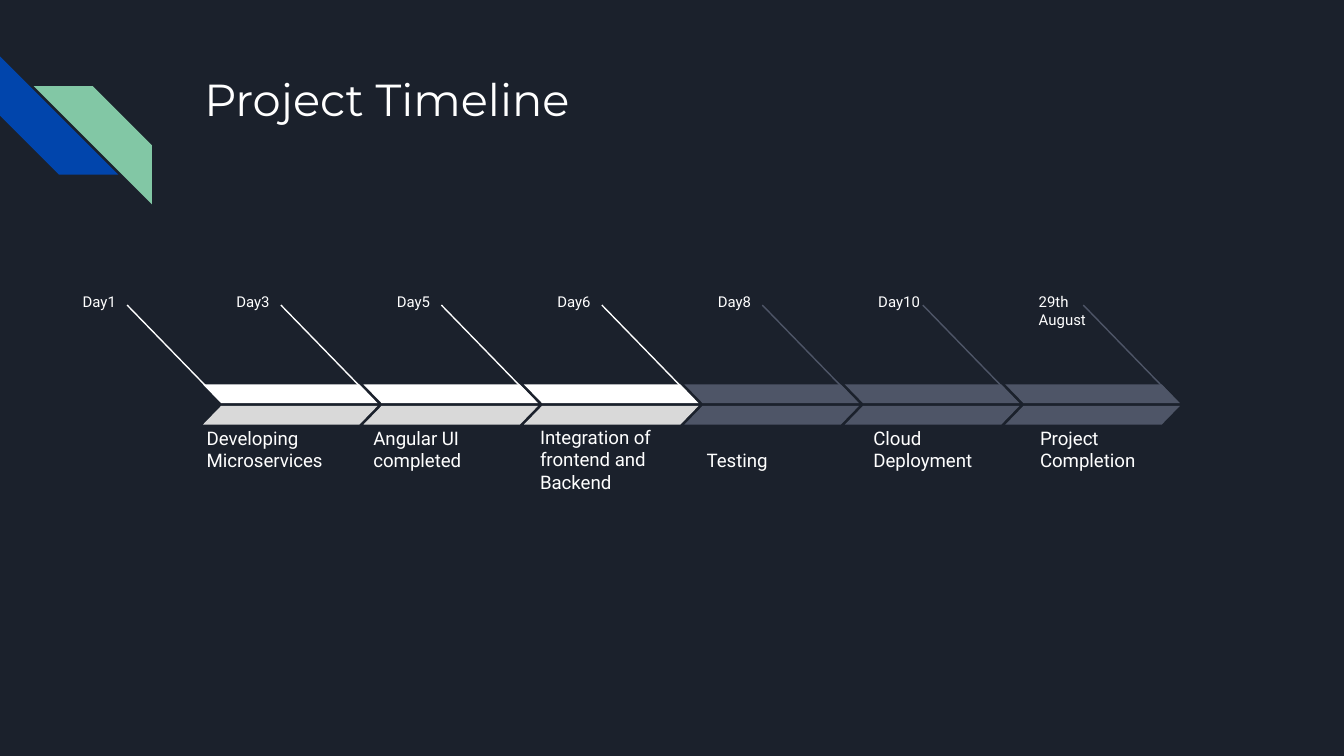
from dataclasses import dataclass

from lxml.etree import SubElement
from pptx import Presentation
from pptx.dml.color import RGBColor
from pptx.enum.shapes import MSO_CONNECTOR, MSO_SHAPE
from pptx.enum.text import MSO_ANCHOR, MSO_AUTO_SIZE, PP_ALIGN
from pptx.oxml.ns import qn
from pptx.slide import Slide
from pptx.text.text import TextFrame
from pptx.util import Inches, Pt


@dataclass(frozen=True)
class Theme:
    background: str = "1B212C"
    blue: str = "0145AC"
    green: str = "82C7A5"
    text: str = "FFFFFF"
    done_top: str = "FFFFFF"
    done_bottom: str = "D9D9D9"
    pending: str = "4E5567"
    title_font: str = "Montserrat"
    body_font: str = "Roboto"
    title_size: float = 24
    caption_size: float = 10
    day_size: float = 8
    line_width: float = 0.75


@dataclass(frozen=True)
class Box:
    left: float
    top: float
    width: float
    height: float

    def lengths(self) -> tuple[int, ...]:
        return tuple(Inches(n) for n in (self.left, self.top, self.width, self.height))


@dataclass(frozen=True)
class Columns:
    start: float
    end: float
    count: int

    @property
    def pitch(self) -> float:
        return (self.end - self.start) / (self.count - 1)

    def left(self, index: int) -> float:
        return self.start + index * self.pitch


@dataclass(frozen=True)
class Milestone:
    day: str
    caption: str
    done: bool = False
    caption_top: float = 3.17


THEME = Theme()
SLIDE_WIDTH = 10
SLIDE_HEIGHT = SLIDE_WIDTH * 9 / 16
MILESTONES = (
    Milestone("Day3", "Developing Microservices", done=True),
    Milestone("Day5", "Angular UI completed", done=True),
    Milestone("Day6", "Integration of frontend and Backend", done=True, caption_top=3.33),
    Milestone("Day8", "Testing"),
    Milestone("Day10", "Cloud Deployment"),
    Milestone("29th August", "Project Completion"),
)
BARS = Columns(1.51, 7.48, len(MILESTONES))
CAPTIONS = Columns(1.44, 7.64, len(MILESTONES))
DAY_OFFSET = 0.15
LEADER_OFFSET = 0.58
START_SHIFT = 0.05


def write(frame: TextFrame, text: str, font: str, size: float, anchor: MSO_ANCHOR) -> None:
    frame.auto_size = MSO_AUTO_SIZE.NONE
    frame.word_wrap = True
    frame.vertical_anchor = anchor
    frame.margin_left = frame.margin_right = Inches(0.1)
    frame.margin_top = frame.margin_bottom = Inches(0.1)
    frame.text = text
    para = frame.paragraphs[0]
    para.alignment = PP_ALIGN.LEFT
    para.font.name = font
    para.font.size = Pt(size)
    para.font.color.rgb = RGBColor.from_string(THEME.text)


def add_title(slide: Slide, text: str, box: Box) -> None:
    title = slide.shapes.title
    title.left, title.top, title.width, title.height = box.lengths()
    write(title.text_frame, text, THEME.title_font, THEME.title_size, MSO_ANCHOR.TOP)


def add_label(slide: Slide, text: str, box: Box, size: float, anchor: MSO_ANCHOR) -> None:
    label = slide.shapes.add_textbox(*box.lengths())
    write(label.text_frame, text, THEME.body_font, size, anchor)


def add_slant(slide: Slide, kind: MSO_SHAPE, box: Box, color: str, slant: float,
              flipped: bool = False, rotation: float = 0) -> None:
    shape = slide.shapes.add_shape(kind, *box.lengths())
    shape.adjustments[0] = slant
    shape.rotation = rotation
    shape.shadow.inherit = False
    shape.fill.solid()
    shape.fill.fore_color.rgb = RGBColor.from_string(color)
    shape.line.fill.background()
    if flipped:
        shape.element.spPr.xfrm.set("flipH", "1")


def add_day(slide: Slide, text: str, bar_left: float, color: str) -> None:
    box = Box(bar_left + DAY_OFFSET, 2.08, 0.59, 0.23)
    add_label(slide, text, box, THEME.day_size, MSO_ANCHOR.TOP)
    leader_left = bar_left + LEADER_OFFSET
    leader = slide.shapes.add_connector(
        MSO_CONNECTOR.STRAIGHT,
        Inches(leader_left), Inches(2.27), Inches(leader_left + 0.7), Inches(2.99),
    )
    leader.line.color.rgb = RGBColor.from_string(color)
    leader.line.width = Pt(THEME.line_width)
    SubElement(leader.element.spPr, qn("a:effectLst"))


def add_milestone(slide: Slide, index: int, milestone: Milestone) -> None:
    left = BARS.left(index)
    top_color = THEME.done_top if milestone.done else THEME.pending
    bottom_color = THEME.done_bottom if milestone.done else THEME.pending
    add_day(slide, milestone.day, left, top_color)
    caption_box = Box(CAPTIONS.left(index), milestone.caption_top, CAPTIONS.pitch, 0.44)
    add_label(slide, milestone.caption, caption_box, THEME.caption_size, MSO_ANCHOR.BOTTOM)
    for top, color, flipped in ((2.86, top_color, True), (3.02, bottom_color, False)):
        add_slant(slide, MSO_SHAPE.PARALLELOGRAM, Box(left, top, 1.3, 0.14), color, 0.97, flipped)


def main() -> None:
    deck = Presentation()
    deck.slide_width, deck.slide_height = Inches(SLIDE_WIDTH), Inches(SLIDE_HEIGHT)
    slide = deck.slides.add_slide(deck.slide_layouts[5])
    slide.background.fill.solid()
    slide.background.fill.fore_color.rgb = RGBColor.from_string(THEME.background)

    stripe = MSO_SHAPE.DIAGONAL_STRIPE
    add_slant(slide, stripe, Box(0, 0.42, 0.88, 0.88), THEME.blue, 0.5, rotation=270)
    add_slant(slide, stripe, Box(0.25, 0.64, 0.88, 0.88), THEME.green, 0.5, flipped=True)
    add_title(slide, "Project Timeline", Box(1.42, 0.43, 7.7, 1))

    add_day(slide, "Day1", BARS.left(-1) + START_SHIFT, THEME.done_top)
    for index, milestone in enumerate(MILESTONES):
        add_milestone(slide, index, milestone)
    deck.save("out.pptx")


if __name__ == "__main__":
    main()
